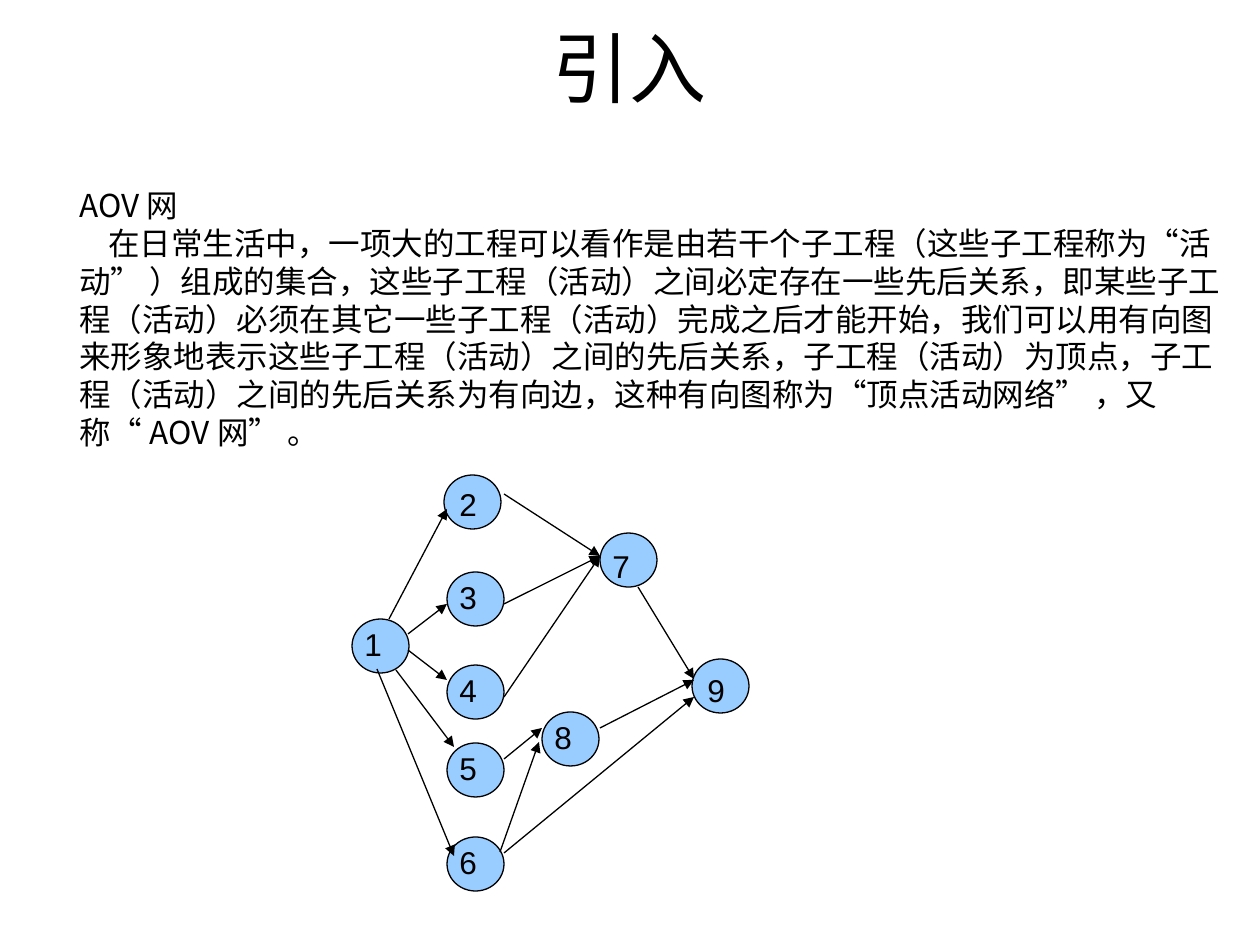
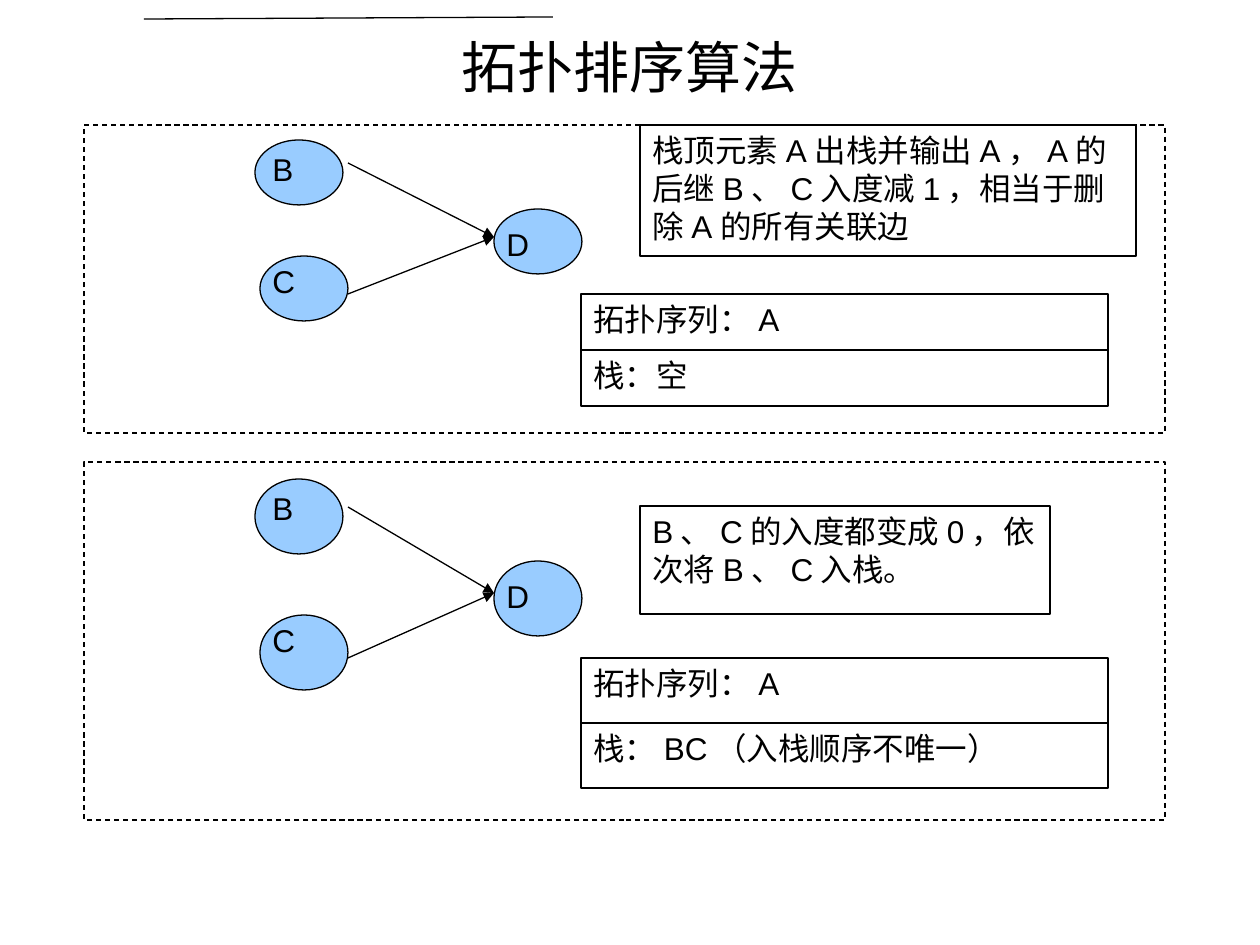
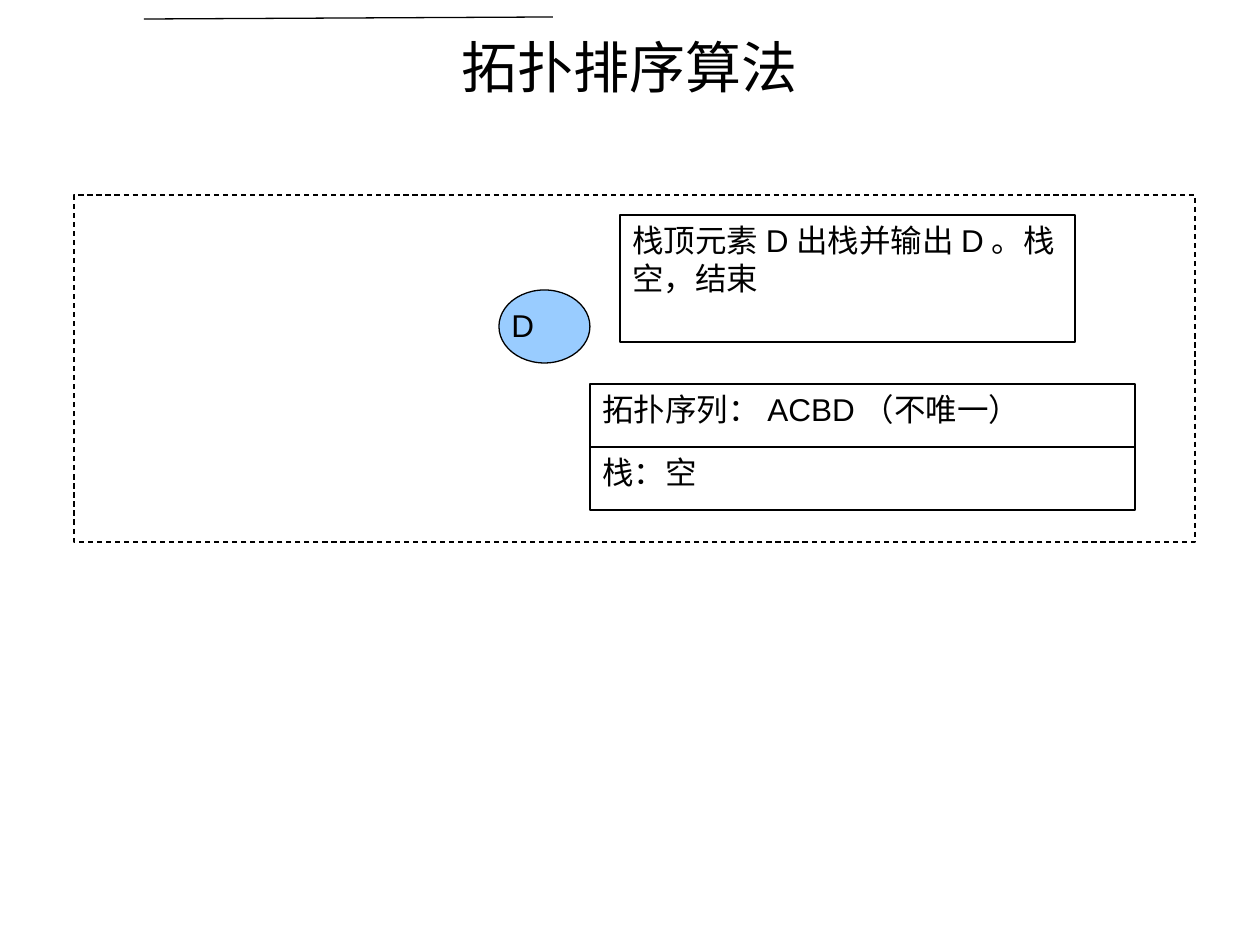
from lxml.etree import SubElement
from pptx import Presentation
from pptx.dml.color import RGBColor
from pptx.enum.dml import MSO_LINE
from pptx.enum.shapes import MSO_CONNECTOR, MSO_SHAPE
from pptx.enum.text import MSO_ANCHOR, PP_ALIGN
from pptx.oxml.ns import qn
from pptx.util import Pt

SCALE = 914400 / 126  # EMU per pixel
COLORS = {"ink": "000000", "node": "99CCFF", "paper": "FFFFFF"}
INK = RGBColor.from_string(COLORS["ink"])
LATIN, CJK = "Arial", "Noto Sans CJK SC"
LINE_WIDTH = Pt(0.74)
TITLE_BOX = (63, 26, 1134, 81)


def add_block(canvas, box, text="", outline=None, fill=None, size=18, latin=LATIN):
    """Add a text box, or an outlined shape, and write one paragraph per text line."""
    place = [round(value * SCALE) for value in box]
    if outline is None:
        block = canvas.add_textbox(*place)
    else:
        block = canvas.add_shape(outline, *place)
        block.shadow.inherit = False
        block.line.color.rgb = INK
        block.line.width = LINE_WIDTH
        if fill:
            block.fill.solid()
            block.fill.fore_color.rgb = RGBColor.from_string(COLORS[fill])
        else:
            block.fill.background()
    frame = block.text_frame
    frame.word_wrap = True
    frame.vertical_anchor = MSO_ANCHOR.TOP
    for number, line in enumerate(text.splitlines()):
        paragraph = frame.add_paragraph() if number else frame.paragraphs[0]
        paragraph.alignment = PP_ALIGN.LEFT
        run = paragraph.add_run()
        run.text = line
        run.font.size = Pt(size)
        run.font.name = latin
        run.font.color.rgb = INK
        SubElement(run.font._element, qn("a:ea")).set("typeface", CJK)
    return block


def add_line(canvas, ends, arrow=True):
    """Draw a thin straight line, with an arrowhead at its end if asked."""
    line = canvas.add_connector(
        MSO_CONNECTOR.STRAIGHT, *[round(value * SCALE) for value in ends])
    line.line.color.rgb = INK
    line.line.width = LINE_WIDTH
    if arrow:
        SubElement(line.line._get_or_add_ln(), qn("a:tailEnd")).set("type", "triangle")
    SubElement(line._element.spPr, qn("a:effectLst"))


deck = Presentation()
deck.slide_width, deck.slide_height = round(1260 * SCALE), round(945 * SCALE)

# Slides and their titles
slides = []
for heading, size in (("引入", 44), ("拓扑排序算法", 32), ("拓扑排序算法", 32)):
    slide = deck.slides.add_slide(deck.slide_layouts[6])
    title = add_block(slide.shapes, TITLE_BOX, heading, size=size)
    title.text_frame.vertical_anchor = MSO_ANCHOR.MIDDLE
    title.text_frame.paragraphs[0].alignment = PP_ALIGN.CENTER
    slides.append(slide)
intro, first_steps, last_step = slides

# Slide 1: definition and activity network
definition = add_block(
    intro.shapes, (67, 180, 1169, 277),
    "AOV网\n"
    "在日常生活中，一项大的工程可以看作是由若干个子工程（这些子工程称为“活动” ）"
    "组成的集合，这些子工程（活动）之间必定存在一些先后关系，"
    "即某些子工程（活动）必须在其它一些子工程（活动）完成之后才能开始，"
    "我们可以用有向图来形象地表示这些子工程（活动）之间的先后关系，"
    "子工程（活动）为顶点，子工程（活动）之间的先后关系为有向边，"
    "这种有向图称为“顶点活动网络” ，又称“AOV网” 。",
    latin=CJK)
explanation = definition.text_frame.paragraphs[1]
explanation._p.get_or_add_pPr().set("indent", str(round(29 * SCALE)))

# name: left, top, label shift right, label shift down
activities = {
    "1": (352, 619, 0, 0), "2": (444, 475, 3, 4), "3": (447, 572, 0, 0),
    "4": (447, 665, 0, 0), "5": (447, 743, 0, 0), "6": (447, 837, 0, 0),
    "7": (600, 533, 0, 8), "8": (542, 712, 0, 0), "9": (692, 659, 3, 6),
}
precedences = [
    (389, 619, 447, 509), (408, 634, 447, 604), (408, 650, 447, 680),
    (396, 670, 454, 747), (377, 669, 454, 856),
    (504, 494, 600, 556), (504, 604, 600, 556), (504, 697, 600, 556),
    (504, 759, 542, 728), (500, 852, 539, 742),
    (638, 587, 694, 679), (600, 728, 694, 680), (504, 853, 694, 697),
]
network = intro.shapes.add_group_shape().shapes
for name, (left, top, right, down) in activities.items():
    add_block(network, (left, top, 57, 54), outline=MSO_SHAPE.OVAL, fill="node")
    add_block(network, (left + right, top + down, 49, 47), name)
for ends in precedences:
    add_line(network, ends)

# Slides 2 and 3: one dashed panel for each step of the sort
label_shifts = {"B": (5, 4), "C": (0, 0), "D": (0, 10)}
steps = [
    dict(slide=first_steps, panel=(84, 125, 1081, 308), node_size=(88, 65),
         nodes={"B": (255, 140), "C": (260, 256), "D": (494, 209)},
         edges=[(348, 163, 494, 237), (348, 294, 494, 237)],
         note=(640, 125, 496, 131),
         action="栈顶元素A出栈并输出A，A的后继B、C入度减1，相当于删除A的所有关联边",
         state=(581, 294, 527, 56), rows=["拓扑序列：A", "栈：空"]),
    dict(slide=first_steps, panel=(84, 462, 1081, 358), node_size=(88, 75),
         nodes={"B": (255, 479), "C": (260, 615), "D": (494, 561)},
         edges=[(348, 507, 494, 593), (348, 658, 494, 593)],
         note=(640, 506, 410, 108),
         action="B、C的入度都变成0，依次将B、C入栈。",
         state=(581, 658, 527, 65), rows=["拓扑序列：A", "栈：BC（入栈顺序不唯一）"]),
    dict(slide=last_step, panel=(74, 195, 1121, 347), node_size=(91, 73),
         nodes={"D": (499, 290)}, edges=[],
         note=(620, 215, 455, 127),
         action="栈顶元素D出栈并输出D。栈空，结束",
         state=(590, 384, 545, 63), rows=["拓扑序列：ACBD（不唯一）", "栈：空"]),
]
for slide in (first_steps, last_step):
    add_line(slide.shapes, (144, 19, 553, 17), arrow=False)
for step in steps:
    canvas = step["slide"].shapes.add_group_shape().shapes
    panel = add_block(canvas, step["panel"], outline=MSO_SHAPE.RECTANGLE)
    panel.line.dash_style = MSO_LINE.DASH
    width, height = step["node_size"]
    for name, (left, top) in step["nodes"].items():
        right, down = label_shifts[name]
        add_block(canvas, (left, top, width, height), outline=MSO_SHAPE.OVAL, fill="node")
        add_block(canvas, (left + right, top + down, width - 12, height - 9), name)
    for ends in step["edges"]:
        add_line(canvas, ends)
    add_block(canvas, step["note"], step["action"], MSO_SHAPE.RECTANGLE, "paper")
    left, top, width, height = step["state"]
    for number, row in enumerate(step["rows"]):
        add_block(canvas, (left, top + number * height, width, height), row,
                  MSO_SHAPE.RECTANGLE, "paper")

deck.save("out.pptx")
